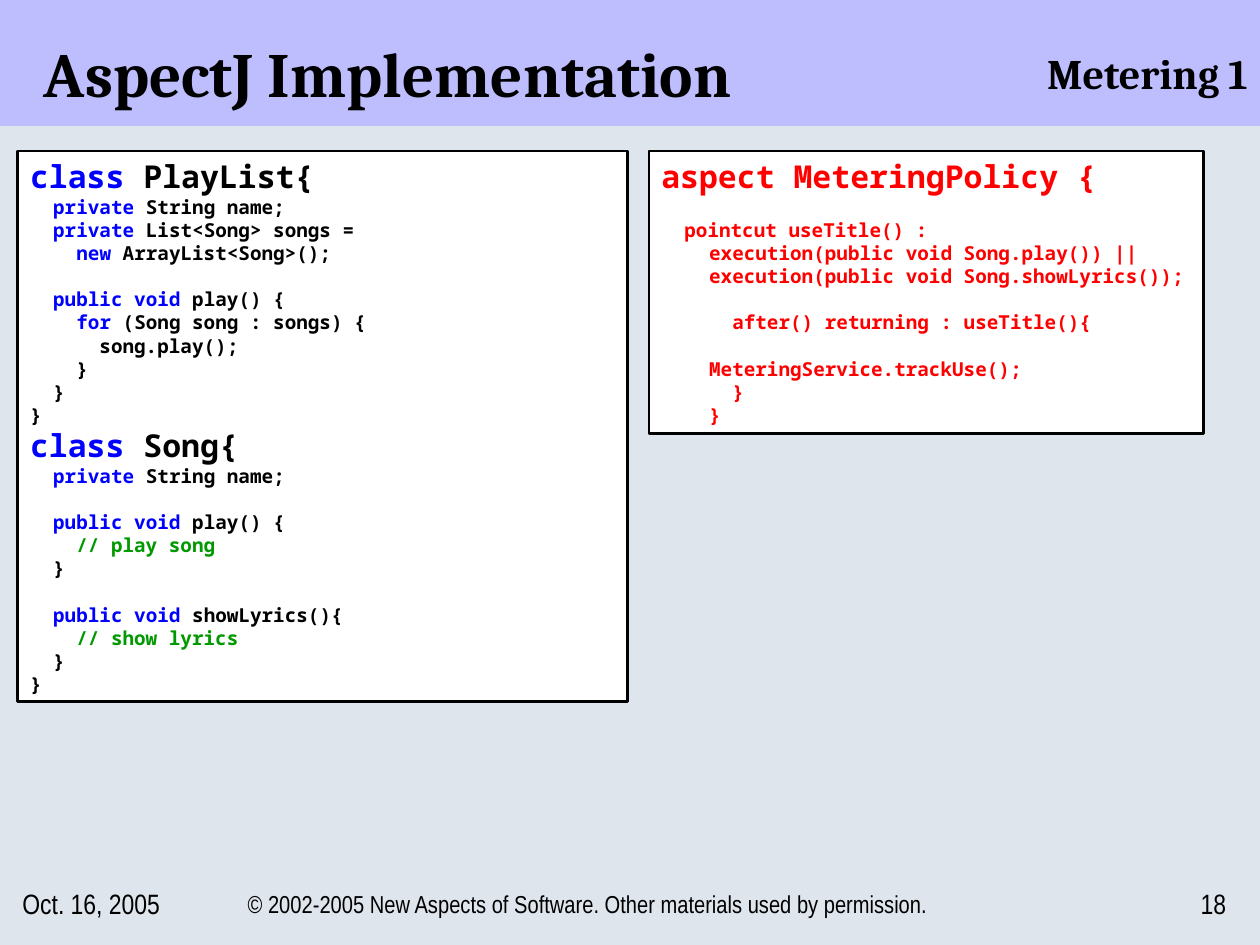
from dataclasses import dataclass

from pptx import Presentation
from pptx.dml.color import RGBColor
from pptx.enum.shapes import MSO_SHAPE
from pptx.enum.text import MSO_ANCHOR, MSO_AUTO_SIZE, PP_ALIGN
from pptx.util import Inches, Pt


@dataclass(frozen=True)
class Theme:
    background: str = "DFE5ED"
    banner: str = "BEBEFF"
    panel: str = "FFFFFF"
    ink: str = "000000"
    keyword: str = "0000FF"
    comment: str = "009900"
    aspect: str = "FF0000"
    title_font: str = "Cambria"
    code_font: str = "Noto Sans Mono"
    footer_font: str = "Arial Narrow"
    title_size: int = 36
    subtitle_size: int = 24
    heading_size: int = 18
    code_size: int = 11
    date_size: int = 16
    notice_size: int = 14
    code_line: float = 13.2


THEME = Theme()
KEYWORDS = ("class", "private", "public void", "for", "new")
HEADINGS = ("class", "aspect")

CLASSES_CODE = """\
class PlayList{
  private String name;
  private List<Song> songs =
    new ArrayList<Song>();

  public void play() {
    for (Song song : songs) {
      song.play();
    }
  }
}
class Song{
  private String name;

  public void play() {
    // play song
  }

  public void showLyrics(){
    // show lyrics
  }
}"""

ASPECT_OPENING = """\
aspect MeteringPolicy {

  pointcut useTitle() :"""

ASPECT_BODY = """\
execution(public void Song.play()) ||
execution(public void Song.showLyrics());

  after() returning : useTitle(){

MeteringService.trackUse();
  }
}"""


def add_run(paragraph, text, color, **font_values):
    run = paragraph.add_run()
    run.text = text
    for name, value in font_values.items():
        setattr(run.font, name, value)
    run.font.color.rgb = RGBColor.from_string(color)


def add_label(slide, box, text, size, font, bold=False,
              align=PP_ALIGN.LEFT, anchor=MSO_ANCHOR.MIDDLE):
    frame = slide.shapes.add_textbox(*map(Inches, box)).text_frame
    frame.word_wrap = True
    frame.vertical_anchor = anchor
    paragraph = frame.paragraphs[0]
    paragraph.alignment = align
    add_run(paragraph, text, THEME.ink, name=font, size=Pt(size), bold=bold)


def add_rectangle(slide, box, fill):
    shape = slide.shapes.add_shape(MSO_SHAPE.RECTANGLE, *map(Inches, box))
    shape.shadow.inherit = False
    shape.fill.solid()
    shape.fill.fore_color.rgb = RGBColor.from_string(fill)
    shape.line.fill.background()
    return shape


def highlight(line):
    """Split a line of code into (text, colour) pieces."""
    if line.lstrip().startswith("//"):
        return [(line, THEME.comment)]
    for keyword in KEYWORDS:
        before, found, after = line.partition(keyword)
        if found:
            return [(before, THEME.ink), (found, THEME.keyword), (after, THEME.ink)]
    return [(line, THEME.ink)]


def add_code_panel(slide, box, blocks, color=None):
    """Fill a framed panel with (indent, code) blocks; one colour turns highlighting off."""
    shape = add_rectangle(slide, box, THEME.panel)
    shape.line.color.rgb = RGBColor.from_string(THEME.ink)
    shape.line.width = Pt(1.5)
    frame = shape.text_frame
    frame.word_wrap = True
    frame.auto_size = MSO_AUTO_SIZE.SHAPE_TO_FIT_TEXT
    frame.vertical_anchor = MSO_ANCHOR.TOP

    paragraph = frame.paragraphs[0]
    gap = 0
    lines = [(indent, line) for indent, code in blocks for line in code.splitlines()]
    for index, (indent, line) in enumerate(lines):
        if not line:
            gap += THEME.code_line
            continue
        if index:
            paragraph = frame.add_paragraph()
        paragraph.alignment = PP_ALIGN.LEFT
        if gap:
            paragraph.space_before = Pt(gap)
            gap = 0
        if indent:
            paragraph._p.get_or_add_pPr().set("marL", str(Inches(indent)))
        size = THEME.heading_size if line.startswith(HEADINGS) else THEME.code_size
        for text, piece_color in [(line, color)] if color else highlight(line):
            if text:
                add_run(paragraph, text, piece_color,
                        name=THEME.code_font, size=Pt(size), bold=True)


def add_header(slide, box):
    left, top, width, height = box
    add_rectangle(slide, box, THEME.banner)
    add_label(slide, (left + 0.25, top + 0.17, width - 0.42, 0.75),
              "AspectJ Implementation", THEME.title_size, THEME.title_font,
              bold=True, anchor=MSO_ANCHOR.BOTTOM)
    add_label(slide, (left + 4.4, top + 0.33, width - 4.4, 0.5),
              "Metering 1", THEME.subtitle_size, THEME.title_font,
              bold=True, align=PP_ALIGN.RIGHT, anchor=MSO_ANCHOR.TOP)


def add_footer(slide, box):
    left, top, width, height = box
    parts = [
        (0, 1.67, "Oct. 16, 2005", THEME.date_size, PP_ALIGN.LEFT),
        (1.67, 5.83, "© 2002-2005 New Aspects of Software. "
         "Other materials used by permission.", THEME.notice_size, PP_ALIGN.CENTER),
        (width - 0.58, 0.58, "18", THEME.date_size, PP_ALIGN.RIGHT),
    ]
    for offset, part_width, text, size, align in parts:
        add_label(slide, (left + offset, top, part_width, height),
                  text, size, THEME.footer_font, align=align)


def main():
    presentation = Presentation()
    presentation.slide_width, presentation.slide_height = Inches(10), Inches(7.5)
    slide = presentation.slides.add_slide(presentation.slide_layouts[6])
    slide.background.fill.solid()
    slide.background.fill.fore_color.rgb = RGBColor.from_string(THEME.background)

    add_header(slide, (0, 0, 10, 1))
    add_code_panel(slide, (0.14, 1.2, 4.84, 4.37), [(0, CLASSES_CODE)])
    add_code_panel(slide, (5.15, 1.2, 4.4, 2.24),
                   [(0, ASPECT_OPENING), (0.38, ASPECT_BODY)], THEME.aspect)
    add_footer(slide, (0.08, 6.92, 9.75, 0.5))
    presentation.save("out.pptx")


if __name__ == "__main__":
    main()
